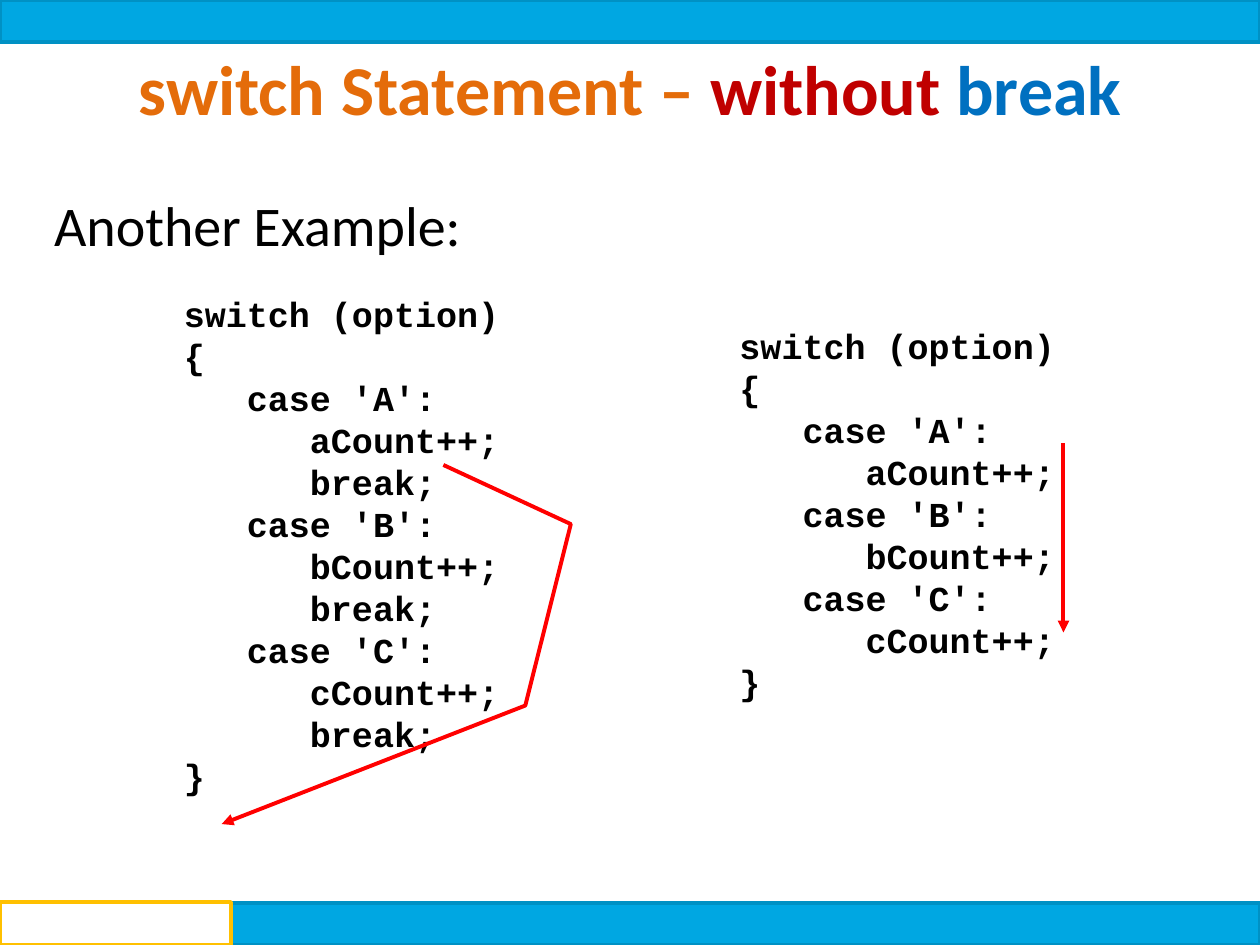
import pptx
import pptx.util
import pptx.dml.color
import pptx.enum.shapes
import pptx.enum.text
import lxml.etree

Pt = pptx.util.Pt
ANCHOR = pptx.enum.text.MSO_ANCHOR
RED, BLACK = "FF0000", "000000"


def paint(color_format, color):
    color_format.rgb = pptx.dml.color.RGBColor.from_string(color)


def style(target, values):
    for name, value in values.items():
        if name == "color":
            paint(target.color, value)
        else:
            setattr(target, name, value)


deck = pptx.Presentation()
deck.slide_width, deck.slide_height = Pt(720), Pt(540)
slide = deck.slides.add_slide(deck.slide_layouts[5])
shapes = slide.shapes

title = shapes.title
style(title, {"left": Pt(0), "top": Pt(22.3), "width": Pt(720), "height": Pt(55.4)})
style(title.text_frame, {"word_wrap": True, "vertical_anchor": ANCHOR.TOP,
                         "auto_size": pptx.enum.text.MSO_AUTO_SIZE.NONE})
heading = title.text_frame.paragraphs[0]
heading.alignment = pptx.enum.text.PP_ALIGN.CENTER
for words, color in [("switch Statement – ", "E46C0A"), ("without ", "C00000"),
                     ("break", "0070C0")]:
    part = heading.add_run()
    part.text = words
    style(part.font, {"name": "Calibri", "size": Pt(40), "bold": True, "color": color})

for top, width, height, fill, edge, weight in [
    (0, 720, 24, "00A7E2", "0091C4", 2),
    (516, 720, 24, "00A7E2", "0091C4", 2),
    (515.5, 132, 24.5, "FFFFFF", "FFC000", 2.25),
]:
    band = shapes.add_shape(pptx.enum.shapes.MSO_SHAPE.RECTANGLE,
                            Pt(0), Pt(top), Pt(width), Pt(height))
    band.shadow.inherit = False
    band.fill.solid()
    paint(band.fill.fore_color, fill)
    style(band.line, {"color": edge, "width": Pt(weight)})

with_break = """   case 'A':
      aCount++;
      break;
   case 'B':
      bCount++;
      break;
   case 'C':
      cCount++;
      break;
}"""
without_break = """   case 'A':
      aCount++;
   case 'B':
      bCount++;
   case 'C':
      cCount++;
}"""
code_font = {"name": "Courier New", "size": Pt(20), "bold": True, "color": BLACK}
text_font = {"name": "Calibri", "size": Pt(32), "color": BLACK}
for left, top, width, height, words, wrap, anchor, spacing, font in [
    (98, 175.7, 206.6, 271.4, "switch (option)\v{\n" + with_break,
     False, ANCHOR.MIDDLE, Pt(24), code_font),
    (415.5, 193.7, 206.6, 199.4, "switch (option)\v{\n" + without_break,
     False, ANCHOR.MIDDLE, Pt(24), code_font),
    (23.8, 109.4, 648, 42.5, "Another Example:", True, ANCHOR.TOP, 0.9, text_font),
]:
    frame = shapes.add_textbox(Pt(left), Pt(top), Pt(width), Pt(height)).text_frame
    style(frame, {"word_wrap": wrap, "vertical_anchor": anchor, "text": words})
    for paragraph in frame.paragraphs:
        paragraph.line_spacing = spacing
        for run in paragraph.runs:
            style(run.font, font)

jump_path = shapes.build_freeform(Pt(253.4), Pt(265.7))
jump_path.add_line_segments(
    [(Pt(x), Pt(y)) for x, y in [(326.2, 299.5), (300.2, 403.2), (126.7, 470.9)]],
    close=False)
jump_arrow = jump_path.convert_to_shape()
jump_arrow.shadow.inherit = False
jump_arrow.fill.background()

fall_arrow = shapes.add_connector(pptx.enum.shapes.MSO_CONNECTOR.STRAIGHT,
                                  Pt(607.7), Pt(253.4), Pt(607.7), Pt(361.4))
namespace = "{http://schemas.openxmlformats.org/drawingml/2006/main}"
lxml.etree.SubElement(fall_arrow._element.spPr, namespace + "effectLst")
for arrow in (jump_arrow, fall_arrow):
    style(arrow.line, {"color": RED, "width": Pt(2.25)})
    lxml.etree.SubElement(arrow.line._get_or_add_ln(), namespace + "tailEnd", type="triangle")

deck.save("out.pptx")
